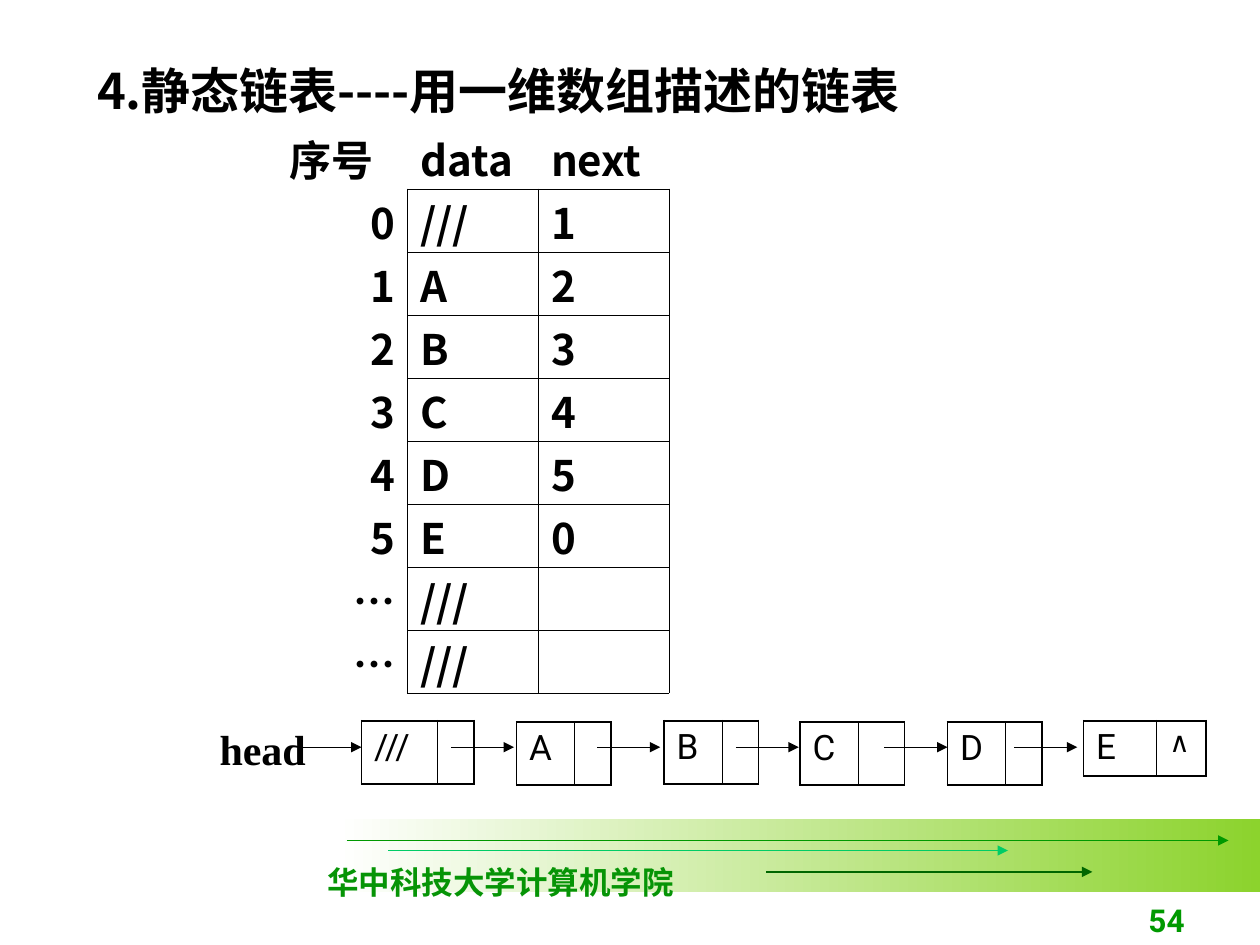
from dataclasses import dataclass

from lxml.etree import SubElement
from pptx import Presentation
from pptx.dml.color import RGBColor
from pptx.enum.shapes import MSO_CONNECTOR, MSO_SHAPE
from pptx.enum.text import MSO_ANCHOR, PP_ALIGN
from pptx.oxml.ns import qn
from pptx.util import Inches, Pt


@dataclass(frozen=True)
class Theme:
    black: str = "000000"
    white: str = "FFFFFF"
    lime: str = "8CD32D"
    green: str = "009900"
    mint: str = "00CC66"
    forest: str = "006600"
    school: str = "069406"
    cjk: str = "Noto Sans CJK SC"
    sans: str = "Roboto"
    serif: str = "Times New Roman"
    title: int = 28
    body: int = 24
    node: int = 20
    small: int = 18
    mark: int = 16
    thin: float = 0.45
    thick: float = 1.08
    arrow: float = 0.75
    no_style: str = "{2D5ABB26-0587-4C30-8999-92F81FD0307C}"


T = Theme()


def write(tf, text, size, font, bold=False, color=T.black, align=PP_ALIGN.LEFT, leading=None):
    p = tf.paragraphs[0]
    p.alignment = align
    if leading:
        p.line_spacing = Pt(leading)
    r = p.add_run()
    r.text = text
    for name, value in {"size": Pt(size), "name": font, "bold": bold}.items():
        setattr(r.font, name, value)
    r.font.color.rgb = RGBColor.from_string(color)
    SubElement(r.font._element, qn("a:ea")).set("typeface", T.cjk)


def add_label(s, box, text, size, font, wrap=True, anchor=MSO_ANCHOR.TOP, **style):
    tf = s.shapes.add_textbox(*map(Inches, box)).text_frame
    tf.word_wrap = wrap
    tf.vertical_anchor = anchor
    write(tf, text, size, font, **style)


def add_arrow(s, x1, x2, y, color=T.black):
    c = s.shapes.add_connector(MSO_CONNECTOR.STRAIGHT, *map(Inches, (x1, y, x2, y)))
    c.line.width = Pt(T.arrow)
    c.line.color.rgb = RGBColor.from_string(color)
    SubElement(c.line._get_or_add_ln(), qn("a:tailEnd")).set("type", "triangle")
    SubElement(c._element.spPr, qn("a:effectLst"))


def add_grid(s, left, top, widths, heights):
    """A table without any style of its own."""
    frame = s.shapes.add_table(len(heights), len(widths), *map(
        Inches, (left, top, sum(widths), sum(heights))))
    table = frame.table
    table.first_row = table.horz_banding = False
    table._tbl.tblPr.find(qn("a:tableStyleId")).text = T.no_style
    for column, width in zip(table.columns, widths):
        column.width = Inches(width)
    for row, height in zip(table.rows, heights):
        row.height = Inches(height)
    return table


def set_borders(cell, **widths):
    """Draw black cell borders; the sides are named L, R, T and B."""
    tcPr = cell._tc.get_or_add_tcPr()
    for side in "LRTB":
        if side in widths:
            ln = SubElement(tcPr, qn(f"a:ln{side}"), w=str(Pt(widths[side])))
            fill = SubElement(ln, qn("a:solidFill"))
            SubElement(fill, qn("a:srgbClr"), val=T.black)
    cell.fill.background()


def add_title(s, box, text):
    sp = s.shapes.title
    sp.left, sp.top, sp.width, sp.height = map(Inches, box)
    sp.text_frame.vertical_anchor = MSO_ANCHOR.TOP
    sp.text_frame.word_wrap = True
    write(sp.text_frame, text, T.title, T.cjk, bold=True, leading=36)


def add_array(s, box, rows):
    """The array: index column outside the ruled data and next columns."""
    left, top, width, height = box
    table = add_grid(s, left, top, [width / 3] * 3, [height / len(rows)] * len(rows))
    for i, row in enumerate(rows):
        for j, text in enumerate(row):
            cell = table.cell(i, j)
            cell.margin_bottom = 0
            if text:
                is_index = i > 0 and j == 0
                write(cell.text_frame, text, T.body, T.cjk, bold=True, leading=32,
                      align=PP_ALIGN.RIGHT if is_index else PP_ALIGN.LEFT)
            if j == 0:
                sides = "R" if i else ""
            else:
                sides = "LRTB" if i else "B"
            set_borders(cell, **dict.fromkeys(sides, T.thin))


def add_node(s, left, top, widths, height, data, link):
    """One list node: a data cell and a link cell."""
    table = add_grid(s, left, top, widths, [height])
    first, second = table.cell(0, 0), table.cell(0, 1)
    write(first.text_frame, data, T.node, T.sans)
    if link:
        write(second.text_frame, link, T.mark, T.sans)
    set_borders(first, L=T.thick, R=T.thin, T=T.thick, B=T.thick)
    set_borders(second, L=T.thin, R=T.thick, T=T.thick, B=T.thick)


def add_linked_list(s, top):
    nodes = [  # left, drop, data width, link width, height, data, link
        (2.87, 0, 0.6, 0.29, 0.5, "///", ""),
        (4.1, 0.01, 0.46, 0.29, 0.5, "A", ""),
        (5.27, 0, 0.46, 0.29, 0.5, "B", ""),
        (6.35, 0.01, 0.46, 0.37, 0.5, "C", ""),
        (7.52, 0.01, 0.46, 0.29, 0.5, "D", ""),
        (8.6, 0, 0.58, 0.39, 0.44, "E", "∧"),
    ]
    for left, drop, data_w, link_w, height, data, link in nodes:
        add_node(s, left, top + drop, [data_w, link_w], height, data, link)
    add_label(s, (1.46, top - 0.03, 1.25, 0.5), "head", T.body, T.serif,
              bold=True, align=PP_ALIGN.CENTER)
    for x in (2.37, 3.58, 4.74, 5.84, 7.02, 8.05):
        add_arrow(s, x, x + 0.5, top + 0.21)


def add_footer(s, box):
    left, top, width, height = box
    band = s.shapes.add_shape(MSO_SHAPE.RECTANGLE, *map(Inches, box))
    band.shadow.inherit = False
    band.line.fill.background()
    band.fill.gradient()
    band.fill.gradient_angle = 0
    for stop, position, color in zip(band.fill.gradient_stops, (0, 1), (T.white, T.lime)):
        stop.position = position
        stop.color.rgb = RGBColor.from_string(color)
    for x1, x2, dy, color in ((2.75, 9.75, 0.17, T.green),
                              (3.08, 8, 0.25, T.mint),
                              (6.08, 8.67, 0.42, T.forest)):
        add_arrow(s, x1, x2, top + dy, color)
    add_label(s, (left - 0.17, top + 0.25, 2.95, 0.4), "华中科技大学计算机学院",
              T.small, T.serif, wrap=False, bold=True, color=T.school, leading=25)
    add_label(s, (7.42, top + 0.5, 2.08, 0.5), "54", T.small, T.sans,
              anchor=MSO_ANCHOR.BOTTOM, bold=True, color=T.green, align=PP_ALIGN.RIGHT)


def main():
    prs = Presentation()
    prs.slide_width, prs.slide_height = Inches(10), Inches(7.5)
    s = prs.slides.add_slide(prs.slide_layouts[5])
    add_footer(s, (2.67, 6.5, 7.33, 0.58))
    add_title(s, (0.67, 0.4, 7.64, 0.57), "4.静态链表----用一维数组描述的链表")
    add_array(s, (2.2, 1, 3.11, 4.5), [
        ("序号", "data", "next"),
        ("0", "///", "1"),
        ("1", "A", "2"),
        ("2", "B", "3"),
        ("3", "C", "4"),
        ("4", "D", "5"),
        ("5", "E", "0"),
        ("…", "///", ""),
        ("…", "///", ""),
    ])
    add_linked_list(s, 5.72)
    prs.save("out.pptx")


if __name__ == "__main__":
    main()
